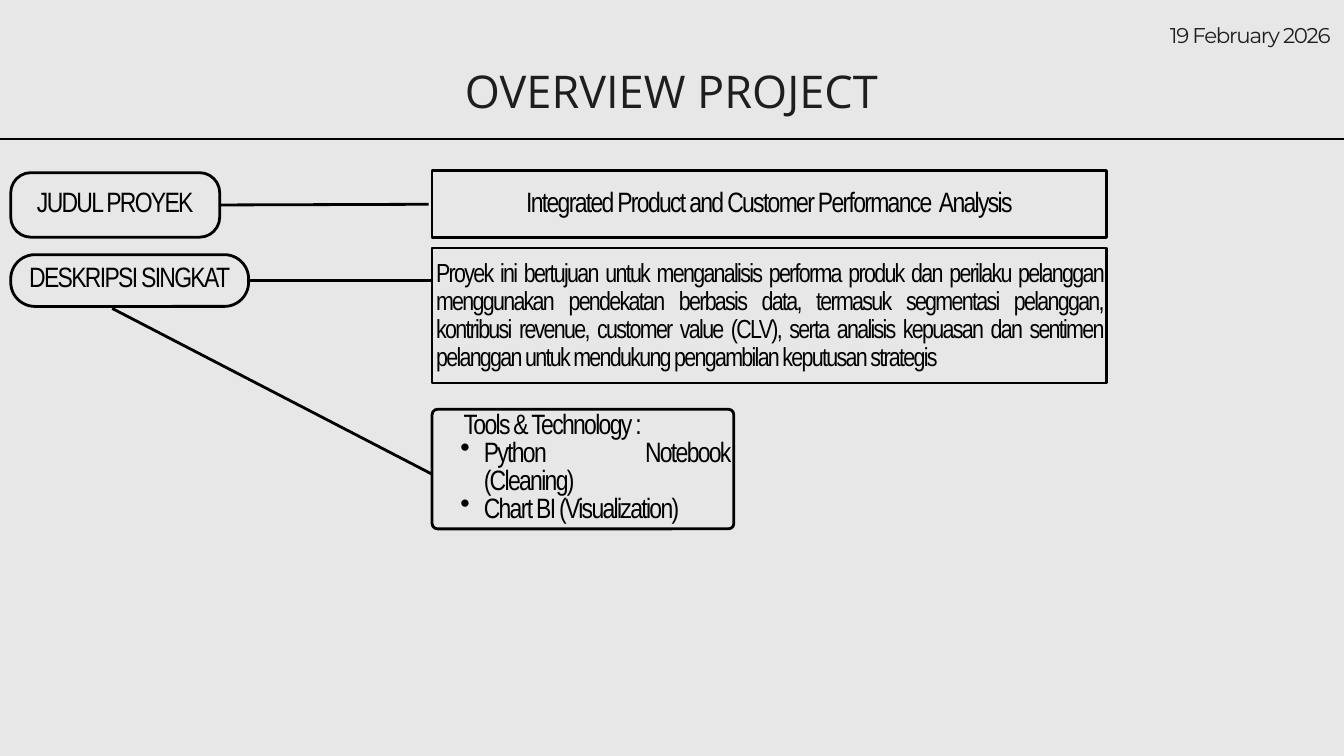
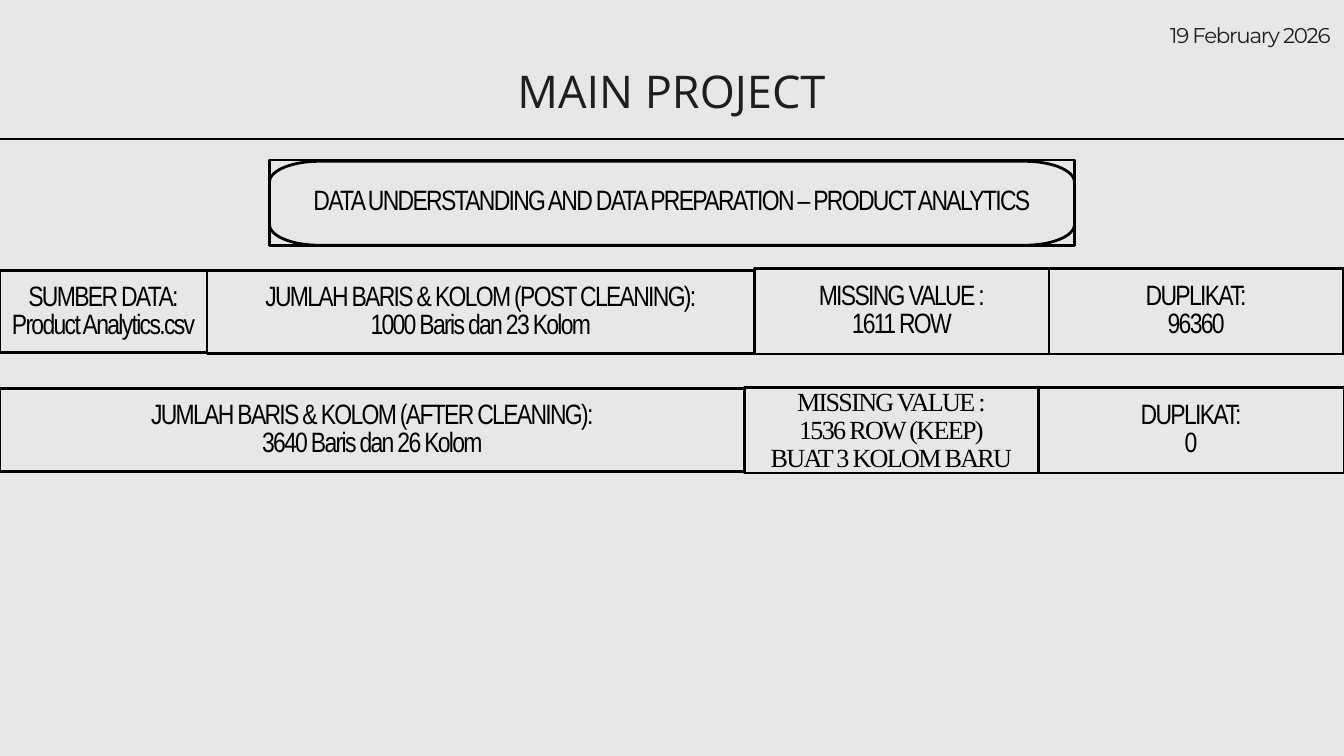
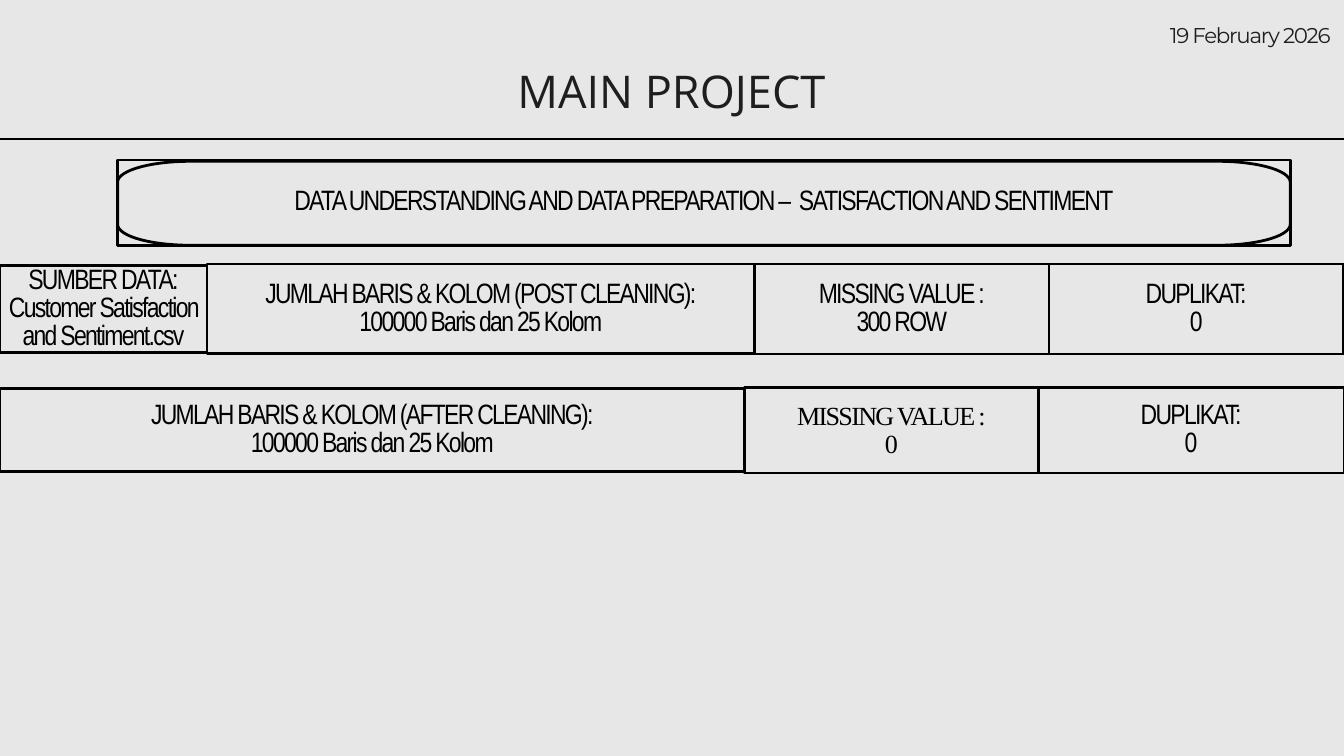
from dataclasses import dataclass
from itertools import accumulate
from math import cos, radians, sin

from pptx import Presentation
from pptx.dml.color import RGBColor
from pptx.enum.shapes import MSO_CONNECTOR as Connector, MSO_SHAPE as Preset
from pptx.enum.text import MSO_ANCHOR as Anchor, MSO_AUTO_SIZE as AutoSize, PP_ALIGN as Align
from pptx.oxml.ns import qn
from pptx.slide import Slide
from pptx.text.text import TextFrame
from pptx.util import Inches, Pt


@dataclass(frozen=True)
class TextStyle:
    font: str
    size: float
    leading: float
    color: RGBColor
    tracking: int = 0


@dataclass(frozen=True)
class Theme:
    paper: RGBColor
    ink: RGBColor
    stroke: float
    inset: float
    title: TextStyle
    date: TextStyle
    body: TextStyle
    compact: TextStyle
    serif: TextStyle


INK = RGBColor(0x00, 0x00, 0x00)
SOFT_INK = RGBColor(0x1E, 0x1E, 0x1E)
THEME = Theme(
    paper=RGBColor(0xE8, 0xE7, 0xE7),
    ink=INK,
    stroke=3,
    inset=0.06,
    title=TextStyle("Open Sans", 48.3, 67.6, SOFT_INK),
    date=TextStyle("Montserrat", 22.9, 22.9, SOFT_INK, -140),
    body=TextStyle("Arial Narrow", 30, 30, INK, -180),
    compact=TextStyle("Arial Narrow", 28, 30, INK, -180),
    serif=TextStyle("Times New Roman", 28, 30, INK, -180),
)


@dataclass(frozen=True)
class Area:
    left: float
    top: float
    width: float
    height: float

    def lengths(self) -> tuple:
        return tuple(map(Inches, (self.left, self.top, self.width, self.height)))


@dataclass(frozen=True)
class Line:
    text: str
    margin: float = 0
    bullet: bool = False


@dataclass(frozen=True)
class Box:
    area: Area
    lines: tuple[Line, ...]
    style: TextStyle = THEME.body
    align: Align = Align.CENTER


@dataclass(frozen=True)
class Pill:
    box: Box
    radius: float


@dataclass(frozen=True)
class Link:
    start: tuple[float, float]
    end: tuple[float, float]


@dataclass(frozen=True)
class Cell:
    width: float
    top: float
    bottom: float
    lines: tuple[str, ...]
    style: TextStyle = THEME.body


@dataclass(frozen=True)
class DataPage:
    heading: str
    banner: Area
    corner_width: float
    before: tuple[Cell, ...]
    after: tuple[Cell, ...]


SLIDE_WIDTH, SLIDE_HEIGHT = 20, 11.25
PLATE_DROP = 0.03
BANNER_DROP = 0.02
CORNER_HEIGHT = 0.31
HEADER_RULE = Link((-0.38, 2.07), (20.8, 2.07))
TITLE_AREA = Area(5.42, 0.81, 9.15, 0.91)
DATE_AREA = Area(17.03, 0.4, 2.77, 0.33)

OVERVIEW_PILLS = (
    Pill(Box(Area(0.16, 2.54, 3.11, 0.99), (Line("JUDUL PROYEK"),)), 0.3),
    Pill(Box(Area(0.16, 3.76, 3.54, 0.8), (Line("DESKRIPSI SINGKAT"),)), 0.36),
    Pill(
        Box(
            Area(6.43, 6.06, 4.49, 1.81),
            (
                Line("Tools & Technology :", 0.41),
                Line("Python Notebook (Cleaning)", 0.71, True),
                Line("Chart BI (Visualization)", 0.71, True),
            ),
            align=Align.JUSTIFY,
        ),
        0.08,
    ),
)
OVERVIEW_BOXES = (
    Box(
        Area(6.43, 2.54, 10.04, 0.99),
        (Line("Integrated Product and Customer Performance  Analysis"),),
    ),
    Box(
        Area(6.43, 3.69, 10.04, 2.01),
        (
            Line(
                "Proyek ini bertujuan untuk menganalisis performa produk dan perilaku "
                "pelanggan menggunakan pendekatan berbasis data, termasuk segmentasi "
                "pelanggan, kontribusi revenue, customer value (CLV), serta analisis "
                "kepuasan dan sentimen pelanggan untuk mendukung pengambilan keputusan "
                "strategis"
            ),
        ),
        THEME.compact,
        Align.JUSTIFY,
    ),
)
OVERVIEW_LINKS = (
    Link((3.27, 3.05), (6.38, 3.04)),
    Link((3.7, 4.18), (6.42, 4.18)),
    Link((1.67, 4.59), (6.9, 7.3)),
)


def before_row(
    tops: tuple[float, float, float], source: str, size: str, missing: str, duplicates: str
) -> tuple[Cell, ...]:
    source_top, size_top, count_top = tops
    return (
        Cell(3.08, source_top, 5.25, ("SUMBER DATA:", source)),
        Cell(8.15, size_top, 5.26, ("JUMLAH BARIS & KOLOM (POST CLEANING):", size)),
        Cell(4.38, count_top, 5.27, ("MISSING VALUE :", missing)),
        Cell(4.38, count_top, 5.27, ("DUPLIKAT:", duplicates)),
    )


def after_row(size: str, *missing: str) -> tuple[Cell, ...]:
    return (
        Cell(11.08, 5.78, 7.02, ("JUMLAH BARIS & KOLOM (AFTER CLEANING):", size)),
        Cell(4.37, 5.77, 7.04, ("MISSING VALUE :", *missing), THEME.serif),
        Cell(4.55, 5.77, 7.04, ("DUPLIKAT:", "0")),
    )


DATA_PAGES = (
    DataPage(
        "DATA UNDERSTANDING AND DATA PREPARATION – PRODUCT ANALYTICS",
        Area(4.01, 2.38, 11.98, 1.27),
        0.74,
        before_row(
            (4.03, 4.02, 4), "Product Analytics.csv", "1000 Baris dan 23 Kolom", "1611 ROW", "96360"
        ),
        after_row("3640 Baris dan 26 Kolom", "1536 ROW (KEEP)", "BUAT 3 KOLOM BARU"),
    ),
    DataPage(
        "DATA UNDERSTANDING AND DATA PREPARATION –  SATISFACTION AND SENTIMENT",
        Area(1.75, 2.38, 17.45, 1.27),
        1.08,
        before_row(
            (3.95, 3.93, 3.93),
            "Customer Satisfaction and Sentiment.csv",
            "100000 Baris dan 25 Kolom",
            "300 ROW",
            "0",
        ),
        after_row("100000 Baris dan 25 Kolom", "0"),
    ),
)


def write_lines(
    frame: TextFrame,
    lines: tuple[Line, ...],
    style: TextStyle,
    align: Align,
    anchor: Anchor = Anchor.TOP,
    inset: float = 0,
) -> None:
    frame.word_wrap = True
    frame.auto_size = AutoSize.NONE
    frame.vertical_anchor = anchor
    frame.margin_left = frame.margin_right = Inches(inset)
    frame.margin_top = frame.margin_bottom = Inches(inset)
    for index, line in enumerate(lines):
        para = frame.add_paragraph() if index else frame.paragraphs[0]
        para.alignment = align
        para.line_spacing = Pt(style.leading)
        para.space_before = para.space_after = Pt(0)
        para.font.name = style.font
        para.font.size = Pt(style.size)
        para.font.color.rgb = style.color
        span = para.add_run()
        span.text = line.text
        if style.tracking:
            span.font._element.set("spc", str(style.tracking))
        if line.margin:
            properties = para._p.get_or_add_pPr()
            properties.set("marL", str(Inches(line.margin)))
            properties.set("indent", str(Inches(-0.35) if line.bullet else 0))
        if line.bullet:
            bullet = properties.makeelement(qn("a:buChar"), {"char": "•"})
            properties.find(qn("a:defRPr")).addprevious(bullet)


def outline(shape, filled: bool) -> None:
    shape.shadow.inherit = False
    shape.line.color.rgb = THEME.ink
    shape.line.width = Pt(THEME.stroke)
    if filled:
        shape.fill.solid()
        shape.fill.fore_color.rgb = THEME.paper
    else:
        shape.fill.background()


def draw_link(page: Slide, link: Link) -> None:
    ends = map(Inches, (*link.start, *link.end))
    connector = page.shapes.add_connector(Connector.STRAIGHT, *ends)
    connector.line.color.rgb = THEME.ink
    connector.line.width = Pt(THEME.stroke)
    properties = connector._element.spPr
    properties.append(properties.makeelement(qn("a:effectLst"), {}))


def write_box(frame: TextFrame, box: Box) -> None:
    write_lines(frame, box.lines, box.style, box.align, Anchor.MIDDLE, THEME.inset)


def draw_box(page: Slide, box: Box) -> None:
    shape = page.shapes.add_shape(Preset.RECTANGLE, *box.area.lengths())
    outline(shape, filled=False)
    write_box(shape.text_frame, box)


def lowered(area: Area, drop: float) -> Area:
    return Area(area.left, area.top + drop, area.width, area.height - drop)


def draw_pill(page: Slide, pill: Pill) -> None:
    plate = lowered(pill.box.area, PLATE_DROP)
    shape = page.shapes.add_shape(Preset.ROUNDED_RECTANGLE, *plate.lengths())
    shape.adjustments[0] = pill.radius / min(plate.width, plate.height)
    outline(shape, filled=True)
    label = page.shapes.add_textbox(*pill.box.area.lengths())
    write_box(label.text_frame, pill.box)


def draw_banner(page: Slide, heading: str, area: Area, corner_width: float) -> None:
    plate = lowered(area, BANNER_DROP)
    near, far = plate.left + corner_width, plate.left + plate.width - corner_width
    high, low = plate.top + CORNER_HEIGHT, plate.top + plate.height - CORNER_HEIGHT
    corners = ((far, low, 0), (near, low, 90), (near, high, 180), (far, high, 270))
    points = [
        (
            Inches(x + corner_width * cos(radians(start + step))),
            Inches(y + CORNER_HEIGHT * sin(radians(start + step))),
        )
        for x, y, start in corners
        for step in range(0, 91, 6)
    ]
    builder = page.shapes.build_freeform(*points[0], scale=1.0)
    builder.add_line_segments(points[1:], close=True)
    outline(builder.convert_to_shape(), filled=True)
    draw_box(page, Box(area, (Line(heading),)))


def draw_row(page: Slide, cells: tuple[Cell, ...]) -> None:
    lefts = accumulate((cell.width for cell in cells), initial=0)
    for left, cell in zip(lefts, cells):
        area = Area(left, cell.top, cell.width, cell.bottom - cell.top)
        draw_box(page, Box(area, tuple(map(Line, cell.lines)), cell.style))


def add_page(deck, title: str) -> Slide:
    page = deck.slides.add_slide(deck.slide_layouts.get_by_name("Title Only"))
    heading = page.shapes.title
    heading.left, heading.top, heading.width, heading.height = TITLE_AREA.lengths()
    write_lines(heading.text_frame, (Line(title),), THEME.title, Align.CENTER)
    draw_link(page, HEADER_RULE)
    date = page.shapes.add_textbox(*DATE_AREA.lengths())
    write_lines(date.text_frame, (Line("19 February 2026"),), THEME.date, Align.RIGHT)
    return page


def add_overview(deck) -> None:
    page = add_page(deck, "OVERVIEW PROJECT")
    for link in OVERVIEW_LINKS:
        draw_link(page, link)
    for pill in OVERVIEW_PILLS:
        draw_pill(page, pill)
    for box in OVERVIEW_BOXES:
        draw_box(page, box)


def add_data_page(deck, content: DataPage) -> None:
    page = add_page(deck, "MAIN PROJECT")
    draw_banner(page, content.heading, content.banner, content.corner_width)
    draw_row(page, content.before)
    draw_row(page, content.after)


def main() -> None:
    deck = Presentation()
    deck.slide_width, deck.slide_height = Inches(SLIDE_WIDTH), Inches(SLIDE_HEIGHT)
    backdrop = deck.slide_master.background.fill
    backdrop.solid()
    backdrop.fore_color.rgb = THEME.paper
    add_overview(deck)
    for content in DATA_PAGES:
        add_data_page(deck, content)
    deck.save("out.pptx")


if __name__ == "__main__":
    main()
